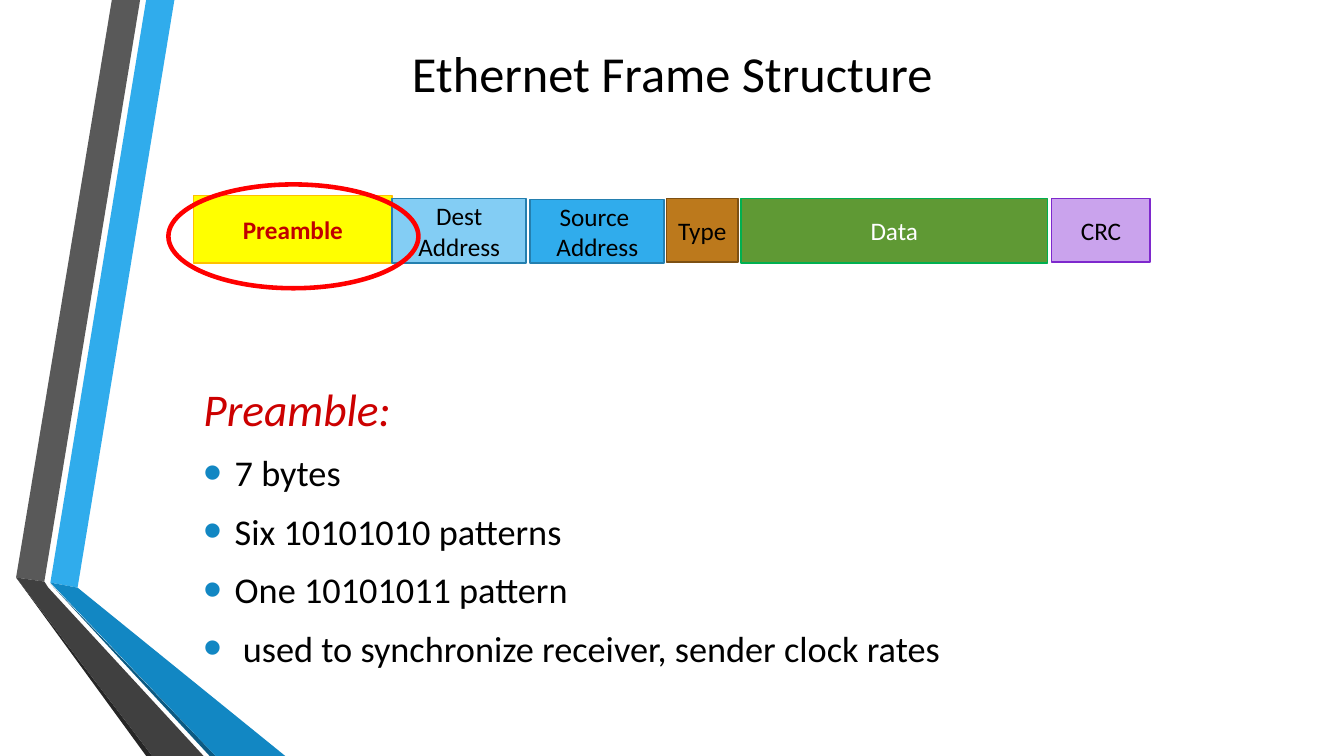
from lxml import etree
from pptx import Presentation
from pptx.dml.color import RGBColor
from pptx.enum.shapes import MSO_SHAPE
from pptx.enum.text import MSO_ANCHOR, PP_ALIGN
from pptx.oxml.ns import qn
from pptx.util import Pt

RECTANGLE, OVAL = MSO_SHAPE.RECTANGLE, MSO_SHAPE.OVAL
TOP, MIDDLE = MSO_ANCHOR.TOP, MSO_ANCHOR.MIDDLE
LEFT, CENTER = PP_ALIGN.LEFT, PP_ALIGN.CENTER

BLACK = RGBColor(0x00, 0x00, 0x00)
WHITE = RGBColor(0xFF, 0xFF, 0xFF)
RED = RGBColor(0xFF, 0x00, 0x00)
DARK_RED = RGBColor(0xC0, 0x00, 0x00)
HEADING_RED = RGBColor(0xCC, 0x00, 0x00)
YELLOW = RGBColor(0xFF, 0xFF, 0x00)
AMBER = RGBColor(0xFF, 0xC0, 0x00)
BLUE = RGBColor(0x30, 0xAC, 0xEC)
LIGHT_BLUE = RGBColor(0x83, 0xCD, 0xF4)
MID_BLUE = RGBColor(0x12, 0x87, 0xC3)
EDGE_BLUE = RGBColor(0x24, 0x7F, 0xAF)
DEEP_BLUE = RGBColor(0x0C, 0x5A, 0x82)
BROWN = RGBColor(0xBC, 0x79, 0x1C)
DARK_BROWN = RGBColor(0x7D, 0x50, 0x13)
GREEN = RGBColor(0x5F, 0x99, 0x34)
EDGE_GREEN = RGBColor(0x00, 0xB0, 0x50)
LILAC = RGBColor(0xCA, 0xA3, 0xED)
PURPLE = RGBColor(0x7E, 0x28, 0xCD)
GRAY = RGBColor(0x59, 0x59, 0x59)
DARK_GRAY = RGBColor(0x40, 0x40, 0x40)
NEAR_BLACK = RGBColor(0x26, 0x26, 0x26)


class SlideBuilder:
    """Draws styled elements; lengths are px, 100 to the inch."""

    SCALE = 9144
    FONT = "Calibri"

    def __init__(self, slide):
        self.slide = slide

    def box(self, *lengths):
        return [length * self.SCALE for length in lengths]

    def ribbon(self, points, color):
        builder = self.slide.shapes.build_freeform(*points[0], scale=self.SCALE)
        builder.add_line_segments(points[1:], close=True)
        shape = builder.convert_to_shape()
        shape.shadow.inherit = False
        shape.fill.solid()
        shape.fill.fore_color.rgb = color
        shape.line.fill.background()

    def shape(self, kind, bounds, fill, line, width):
        shape = self.slide.shapes.add_shape(kind, *self.box(*bounds))
        shape.shadow.inherit = False
        if fill is None:
            shape.fill.background()
        else:
            shape.fill.solid()
            shape.fill.fore_color.rgb = fill
        shape.line.color.rgb = line
        shape.line.width = Pt(width)
        return shape

    def field(self, bounds, text, fill, line, color=BLACK, bold=False):
        shape = self.shape(RECTANGLE, bounds, fill, line, 1.25)
        self.set_text(shape.text_frame, text, 18, color, bold=bold)

    def text_box(self, bounds):
        return self.slide.shapes.add_textbox(*self.box(*bounds)).text_frame

    def set_text(self, frame, text, size, color, align=CENTER, bold=False):
        frame.word_wrap = True
        frame.vertical_anchor = MIDDLE
        frame.text = text
        for paragraph in frame.paragraphs:
            paragraph.alignment = align
            self.style(paragraph, size, color, bold)

    def style(self, paragraph, size, color, bold=False, italic=False):
        for run in paragraph.runs:
            font = run.font
            font.name, font.size = self.FONT, Pt(size)
            font.bold, font.italic = bold, italic
            font.color.rgb = color

    def bullet(self, paragraph, color):
        properties = paragraph._p.get_or_add_pPr()
        indent = 31 * self.SCALE
        properties.set("marL", str(indent))
        properties.set("indent", str(-indent))
        bullet_color = etree.SubElement(properties, qn("a:buClr"))
        etree.SubElement(bullet_color, qn("a:srgbClr"), val=str(color))
        etree.SubElement(properties, qn("a:buSzPct"), val="145000")
        etree.SubElement(properties, qn("a:buFont"), typeface="Arial")
        etree.SubElement(properties, qn("a:buChar"), char="•")

    def bullet_list(self, bounds, top_margin, heading, items):
        frame = self.text_box(bounds)
        self.set_text(frame, "\n".join([heading, *items]), 25.9, BLACK, LEFT)
        frame.vertical_anchor = TOP
        frame.margin_top = top_margin * self.SCALE
        first, *others = frame.paragraphs
        self.style(first, 32.4, HEADING_RED, italic=True)
        first.space_after = Pt(6)
        for paragraph in others:
            self.bullet(paragraph, MID_BLUE)
            paragraph.space_before = Pt(4.7)
            paragraph.space_after = Pt(6)


def main():
    presentation = Presentation()
    presentation.slide_width, presentation.slide_height = (
        1333 * SlideBuilder.SCALE, 750 * SlideBuilder.SCALE)
    slide = presentation.slides.add_slide(presentation.slide_layouts[6])
    builder = SlideBuilder(slide)

    # Folded ribbons along the left edge
    ribbons = [
        ([(50, 578), (77, 583), (173, 0), (145, 0)], BLUE),
        ([(139, 0), (111, 0), (16, 573), (44, 577)], GRAY),
        ([(16, 573), (145, 750), (151, 750)], NEAR_BLACK),
        ([(50, 579), (208, 750), (214, 750)], DEEP_BLUE),
        ([(50, 578), (214, 750), (283, 750), (77, 583)], MID_BLUE),
        ([(202, 750), (48, 583), (44, 577), (16, 573), (151, 750)], DARK_GRAY),
    ]
    for points, color in ribbons:
        builder.ribbon(points, color)

    # Title
    title = builder.text_box((242, 38, 850, 67))
    builder.set_text(title, "Ethernet Frame Structure", 36, BLACK)

    # Explanation of the preamble
    builder.bullet_list((192, 323, 1023, 341), 55, "Preamble:", [
        "7 bytes",
        "Six 10101010 patterns",
        "One 10101011 pattern",
        " used to synchronize receiver, sender clock rates",
    ])

    # Frame fields
    builder.field((192, 194, 197, 67), "Preamble", YELLOW, AMBER, DARK_RED, True)
    builder.field((526, 198, 133, 63), "Source \nAddress", BLUE, EDGE_BLUE)
    builder.field((389, 197, 133, 64), "Dest\nAddress", LIGHT_BLUE, EDGE_BLUE)
    builder.field((661, 197, 71, 63), "Type", BROWN, DARK_BROWN)
    builder.field((735, 197, 304, 64), "Data", GREEN, EDGE_GREEN, WHITE)
    builder.field((1043, 197, 98, 63), "CRC", LILAC, PURPLE)

    # Ring around the preamble
    builder.shape(OVAL, (167, 183, 248, 103), None, RED, 3.25)

    presentation.save("out.pptx")


if __name__ == "__main__":
    main()
